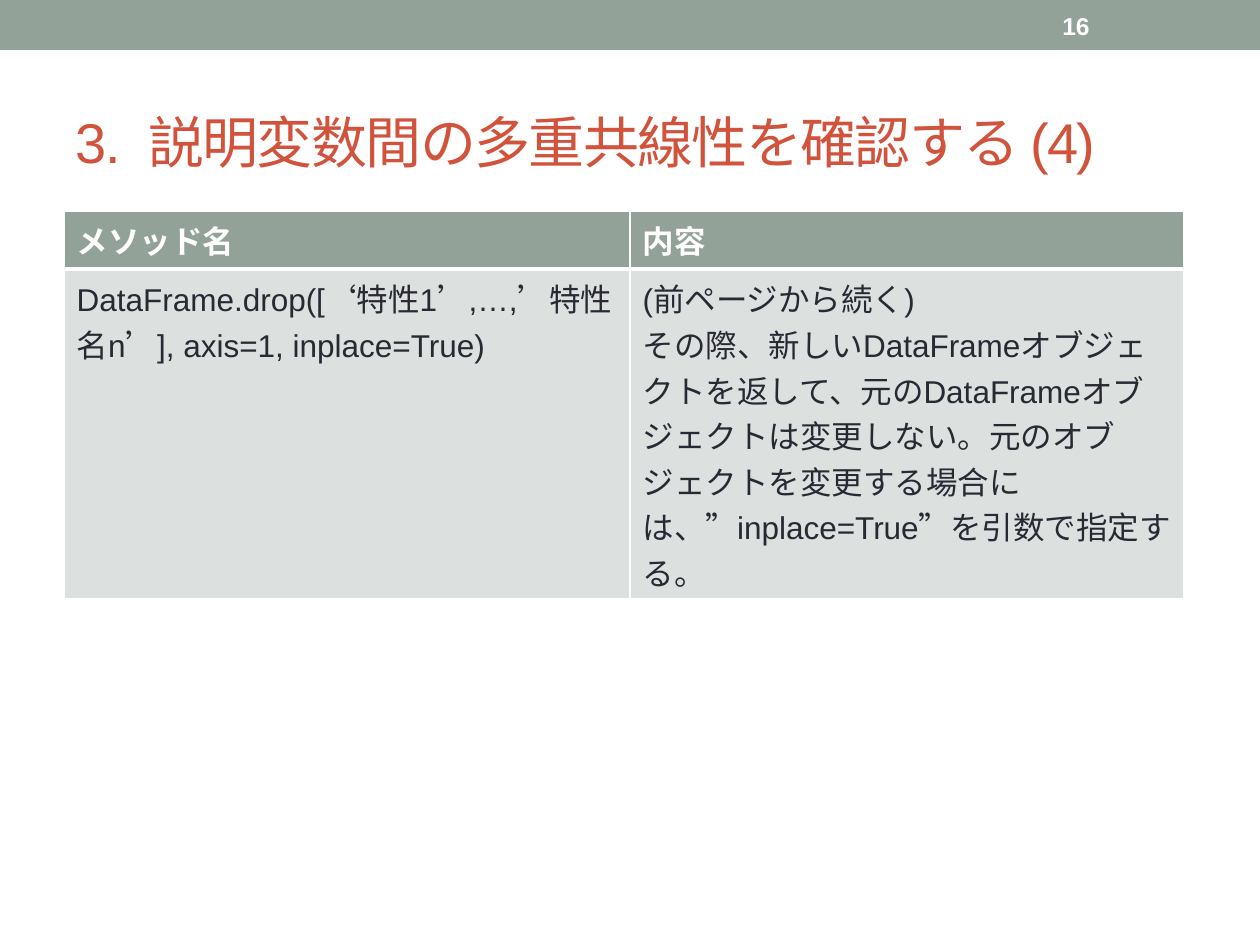
from dataclasses import dataclass

from lxml import etree
from pptx import Presentation
from pptx.dml.color import RGBColor
from pptx.enum.shapes import MSO_SHAPE
from pptx.enum.text import MSO_ANCHOR, MSO_AUTO_SIZE, PP_ALIGN
from pptx.oxml.ns import qn
from pptx.util import Pt

RECT = MSO_SHAPE.RECTANGLE
MIDDLE = MSO_ANCHOR.MIDDLE
NO_FIT = MSO_AUTO_SIZE.NONE
LEFT = PP_ALIGN.LEFT
PX = 914400 // 126  # EMU per pixel


@dataclass(frozen=True)
class Theme:
    font: str = "Arial"
    sage: str = "93A299"
    pale: str = "DCE0DE"
    red: str = "D2533C"
    ink: str = "292934"
    white: str = "FFFFFF"
    title: int = 32
    body: int = 18
    number: int = 14


T = Theme()


def write(tf, text, size, color, bold=False, spacing=None):
    """Fill a text frame, one paragraph per line of text."""
    for i, line in enumerate(text.split("\n")):
        p = tf.add_paragraph() if i else tf.paragraphs[0]
        p.alignment = LEFT
        r = p.add_run()
        r.text = line
        r.font.name = T.font
        r.font.size = Pt(size)
        r.font.bold = bold
        r.font.color.rgb = RGBColor.from_string(color)
        if spacing is not None:
            r.font._element.set("spc", str(spacing))


def border(cell, side, width):
    """Draw one white edge of a table cell."""
    ln = etree.SubElement(cell._tc.get_or_add_tcPr(), qn("a:ln" + side), w=str(Pt(width)))
    fill = etree.SubElement(ln, qn("a:solidFill"))
    etree.SubElement(fill, qn("a:srgbClr"), val=T.white)


prs = Presentation()
prs.slide_width, prs.slide_height = 1260 * PX, 945 * PX
s = prs.slides.add_slide(prs.slide_layouts[5])

# Top band
band = s.shapes.add_shape(RECT, 0, 0, 1260 * PX, 50 * PX)
band.shadow.inherit = False
band.fill.solid()
band.fill.fore_color.rgb = RGBColor.from_string(T.sage)
band.line.fill.background()

# Title
title = s.shapes.title
title.left, title.top, title.width, title.height = [v * PX for v in (63, 73, 1134, 136)]
tf = title.text_frame
tf.auto_size = NO_FIT
tf.vertical_anchor = MIDDLE
write(tf, "3.  説明変数間の多重共線性を確認する (4)", T.title, T.red, spacing=-100)

# Slide number
number = s.shapes.add_textbox(1050 * PX, 3 * PX, 147 * PX, 45 * PX)
tf = number.text_frame
tf.word_wrap = True
tf.vertical_anchor = MIDDLE
write(tf, "16", T.number, T.white, bold=True)

# Method table
rows = [
    ("メソッド名", "内容"),
    ("DataFrame.drop([‘特性1’,…,’特性名n’], axis=1, inplace=True)",
     "(前ページから続く)\n"
     "その際、新しいDataFrameオブジェクトを返して、元のDataFrameオブジェクトは変更しない。"
     "元のオブジェクトを変更する場合には、”inplace=True”を引数で指定する。"),
]
col_widths = (566, 554)
row_heights = (58, 330)
table = s.shapes.add_table(2, 2, 64 * PX, 211 * PX,
                           sum(col_widths) * PX, sum(row_heights) * PX).table
for col, width in zip(table.columns, col_widths):
    col.width = width * PX
for i, (row, height) in enumerate(zip(table.rows, row_heights)):
    row.height = height * PX
    header = i == 0
    edges = {"L": 1, "R": 1, "T": 1 if header else 3, "B": 3 if header else 1}
    for cell, text in zip(row.cells, rows[i]):
        for side, width in edges.items():
            border(cell, side, width)
        cell.fill.solid()
        cell.fill.fore_color.rgb = RGBColor.from_string(T.sage if header else T.pale)
        write(cell.text_frame, text, T.body, T.white if header else T.ink, bold=header)

prs.save("out.pptx")
